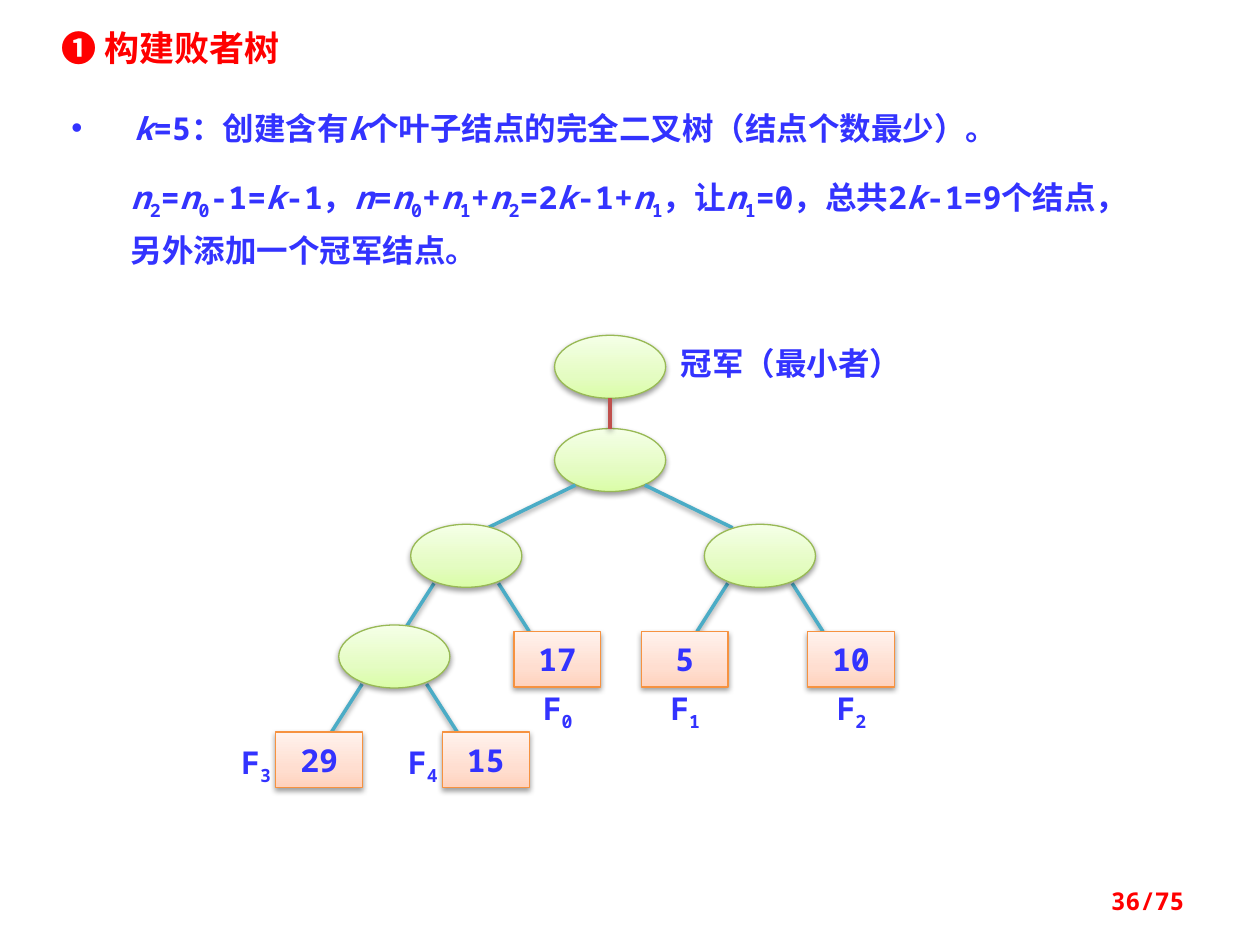
from lxml import etree
from pptx import Presentation
from pptx.dml.color import RGBColor
from pptx.enum import shapes, text
from pptx.oxml.ns import qn
from pptx.util import Cm, Pt

COLORS = {"red": "FF0000", "blue": "3333FF", "edge": "4BACC6", "crown": "C0504D",
          "node": "98B955", "leaf": "F69240"}
GRADIENTS = {"node": [(0, "DAFDA7"), (35, "E4FCC2"), (100, "F5FFE7")],
             "leaf": [(0, "FFD2BD"), (35, "FFDED0"), (100, "FFF2ED")]}
FONT = "Noto Sans Mono"

# Runs are split by "|"; "/" opens an italic run and "_" a subscript run.
TITLE = "❶ 构建败者树"
CASE = "/k|=5：创建含有|/k|个叶子结点的完全二叉树（结点个数最少）。"
COUNT = ("/n|_2|=|/n|_0|-1=|/k|-1，|/n|=|/n|_0|+|/n|_1|+|/n|_2|=2|/k|-1+|/n|_1|，让|"
         "/n|_1|=0，总共2|/k|-1=9个结点，另外添加一个冠军结点。")
CHAMPION_NOTE = "冠军（最小者）"
PAGE = "36/75"

# Tree, in cm: left and top of every part
NODE_SIZE, LEAF_SIZE, LABEL_SIZE = (2.24, 1.27), (1.75, 1.12), (0.81, 0.76)
CHAMPION, ROOT = (11.18, 6.76), (11.18, 8.64)
INNER = [(8.28, 10.57), (14.2, 10.57), (6.83, 12.6)]
LEAVES = [("29", "F|_3", 5.56, 14.76, "beside"), ("15", "F|_4", 8.92, 14.76, "beside"),
          ("17", "F|_0", 10.36, 12.73, "below"), ("5", "F|_1", 12.93, 12.73, "below"),
          ("10", "F|_2", 16.28, 12.73, "below")]
LABEL_OFFSET = {"beside": (-0.8, 0.22), "below": (0.48, 1.16)}

# Edge ends: sideways from the parent's centre, down from its top
ROOT_EDGE = ((0.7, 1.14), (2.47, 2.0))
INNER_EDGE = ((0.65, 1.19), (1.27, 2.16))

deck = Presentation()
deck.slide_width, deck.slide_height = Cm(25.4), Cm(19.05)
slide = deck.slides.add_slide(deck.slide_layouts[6])


def rgb(name):
    return RGBColor.from_string(COLORS[name])


def write(frame, content, size=18, color="blue", align=text.PP_ALIGN.LEFT,
          line=None, bullet=None):
    paragraph = frame.paragraphs[0]
    paragraph.alignment = align
    if line:
        paragraph.line_spacing = Pt(line)
    if bullet:
        props = paragraph._p.get_or_add_pPr()
        props.set("marL", str(Cm(1.27)))
        props.set("indent", str(-Cm(1.27)))
        etree.SubElement(props, qn("a:buFont"), typeface="Arial")
        etree.SubElement(props, qn("a:buChar"), char=bullet)
    for part in content.split("|"):
        run = paragraph.add_run()
        run.text = part.lstrip("/_")
        font = run.font
        font.name, font.size, font.bold = FONT, Pt(size), True
        font.color.rgb = rgb(color)
        if part.startswith("/"):
            font.italic = True
        elif part.startswith("_"):
            font._element.set("baseline", "-25000")


def add_text(content, left, top, width, height, tight=False,
             anchor=text.MSO_ANCHOR.TOP, **style):
    frame = slide.shapes.add_textbox(Cm(left), Cm(top), Cm(width), Cm(height)).text_frame
    frame.word_wrap = True
    frame.vertical_anchor = anchor
    if tight:
        frame.margin_left = frame.margin_right = frame.margin_top = frame.margin_bottom = 0
    write(frame, content, **style)


def add_shadow(part):
    props = part._element.spPr
    effects = props.find(qn("a:effectLst"))
    if effects is None:
        effects = etree.SubElement(props, qn("a:effectLst"))
    shadow = etree.SubElement(effects, qn("a:outerShdw"), blurRad="40000", dist="20000",
                              dir="5400000", rotWithShape="0")
    black = etree.SubElement(shadow, qn("a:srgbClr"), val="000000")
    etree.SubElement(black, qn("a:alpha"), val="38000")


def add_part(kind, preset, position, size):
    part = slide.shapes.add_shape(preset, *map(Cm, position + size))
    part.fill.gradient()
    part.fill.gradient_angle = 90
    stops = part._element.spPr.find(qn("a:gradFill")).find(qn("a:gsLst"))
    for stop in list(stops):
        stops.remove(stop)
    for percent, color in GRADIENTS[kind]:
        stop = etree.SubElement(stops, qn("a:gs"), pos=str(percent * 1000))
        etree.SubElement(stop, qn("a:srgbClr"), val=color)
    part.line.color.rgb = rgb(kind)
    part.line.width = Pt(0.75)
    part.shadow.inherit = False
    add_shadow(part)
    return part


def add_node(position):
    add_part("node", shapes.MSO_SHAPE.OVAL, position, NODE_SIZE)


def add_edge(x1, y1, x2, y2, color="edge"):
    edge = slide.shapes.add_connector(shapes.MSO_CONNECTOR.STRAIGHT,
                                      Cm(x1), Cm(y1), Cm(x2), Cm(y2))
    edge.line.color.rgb = rgb(color)
    edge.line.width = Pt(2)
    add_shadow(edge)


def add_branches(parent, ends):
    centre, top = parent[0] + NODE_SIZE[0] / 2, parent[1]
    (start_x, start_y), (end_x, end_y) = ends
    for side in (-1, 1):
        add_edge(centre + side * start_x, top + start_y, centre + side * end_x, top + end_y)


add_text(TITLE, 0.99, 0.41, 6.81, 1.12, size=20, color="red")
add_text(CASE, 1.19, 1.78, 21.03, 1.32, line=30, bullet="•")
add_text(COUNT, 2.39, 3.38, 20.45, 2.18, line=27)

add_node(ROOT)
add_branches(ROOT, ROOT_EDGE)
for node in INNER:
    add_branches(node, INNER_EDGE)
for node in INNER + [CHAMPION]:
    add_node(node)
crown_x = CHAMPION[0] + NODE_SIZE[0] / 2
add_edge(crown_x, CHAMPION[1] + NODE_SIZE[1], crown_x, ROOT[1], color="crown")
add_text(CHAMPION_NOTE, 13.72, 6.93, 5.03, 0.76, tight=True)

for value, label, left, top, place in LEAVES:
    leaf = add_part("leaf", shapes.MSO_SHAPE.RECTANGLE, (left, top), LEAF_SIZE)
    leaf.text_frame.word_wrap = False
    leaf.text_frame.vertical_anchor = text.MSO_ANCHOR.MIDDLE
    write(leaf.text_frame, value, align=text.PP_ALIGN.CENTER)
    dx, dy = LABEL_OFFSET[place]
    add_text(label, left + dx, top + dy, *LABEL_SIZE, tight=True, align=text.PP_ALIGN.CENTER)

add_text(PAGE, 18.21, 17.65, 5.92, 1.02, size=14, color="red",
         align=text.PP_ALIGN.RIGHT, anchor=text.MSO_ANCHOR.MIDDLE)

deck.save("out.pptx")
